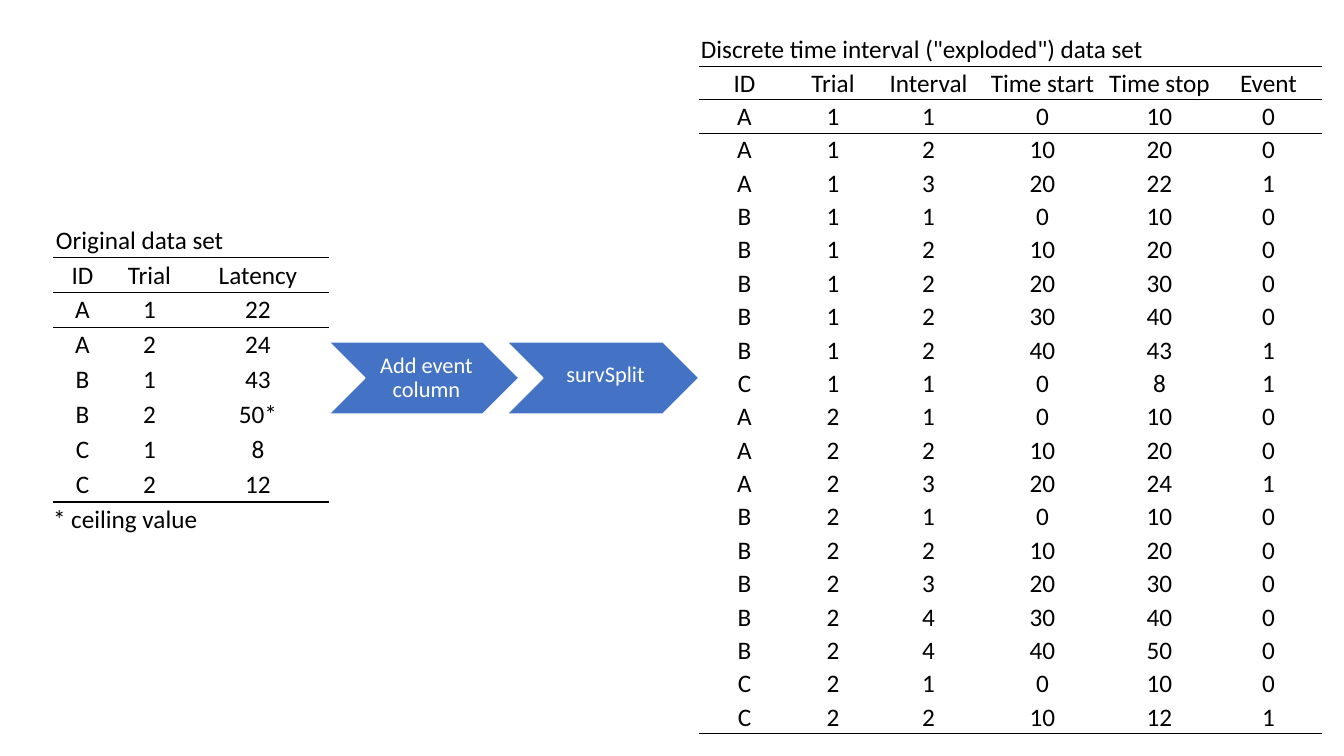
import pptx
import pptx.util
import pptx.dml.color
import pptx.enum.shapes
import pptx.enum.text
import pptx.oxml

COLORS = {"ink": "000000", "chevron": "4472C4", "white": "FFFFFF"}
PX = 914400 / 100.8
FONT = "Calibri"
NO_STYLE = "{2D5ABB26-0587-4C30-8999-92F81FD0307C}"
NS = "http://schemas.openxmlformats.org/drawingml/2006/main"

ALIGN = pptx.enum.text.PP_ALIGN
ANCHOR = pptx.enum.text.MSO_ANCHOR

ORIGINAL_HEADER = ["ID", "Trial", "Latency"]
ORIGINAL_ROWS = """
A 1 22
A 2 24
B 1 43
B 2 50*
C 1 8
C 2 12
"""
EXPLODED_HEADER = ["ID", "Trial", "Interval", "Time start", "Time stop", "Event"]
EXPLODED_ROWS = """
A 1 1 0 10 0
A 1 2 10 20 0
A 1 3 20 22 1
B 1 1 0 10 0
B 1 2 10 20 0
B 1 2 20 30 0
B 1 2 30 40 0
B 1 2 40 43 1
C 1 1 0 8 1
A 2 1 0 10 0
A 2 2 10 20 0
A 2 3 20 24 1
B 2 1 0 10 0
B 2 2 10 20 0
B 2 3 20 30 0
B 2 4 30 40 0
B 2 4 40 50 0
C 2 1 0 10 0
C 2 2 10 12 1
"""


def px(n):
    return pptx.util.Emu(round(n * PX))


def rgb(name):
    return pptx.dml.color.RGBColor.from_string(COLORS[name])


def set_attrs(target, values):
    for name, value in values.items():
        setattr(target, name, value)


def margins(left, top, right, bottom):
    sides = zip(("left", "top", "right", "bottom"), (left, top, right, bottom))
    return {f"margin_{side}": px(n) for side, n in sides}


def write(tf, text, size, color, **paragraph):
    p = tf.paragraphs[0]
    set_attrs(p, paragraph)
    r = p.add_run()
    r.text = text
    set_attrs(r.font, {"name": FONT, "size": pptx.util.Pt(size)})
    r.font.color.rgb = rgb(color)


def add_border(cell, tag):
    xml = (f'<a:{tag} xmlns:a="{NS}" w="12700"><a:solidFill>'
           f'<a:srgbClr val="{COLORS["ink"]}"/></a:solidFill></a:{tag}>')
    cell._tc.get_or_add_tcPr().insert(0, pptx.oxml.parse_xml(xml))


def add_data_table(s, box, widths, pad, title, header, rows, note=None):
    body = [header] + [line.split() for line in rows.split("\n") if line]
    grid = [[title]] + body + ([[note]] if note else [])
    ruled = {0, 1, len(body)}
    gf = s.shapes.add_table(len(grid), len(widths), *map(px, box))
    for style in gf.element.iter(f"{{{NS}}}tableStyleId"):
        style.text = NO_STYLE
    table = gf.table
    set_attrs(table, {"first_row": False, "horz_banding": False})
    for column, width in zip(table.columns, widths):
        column.width = px(width)
    for i, texts in enumerate(grid):
        table.rows[i].height = px(box[3] / len(grid))
        spans = len(texts) == 1
        for j in range(len(widths)):
            cell = table.cell(i, j)
            cell.fill.background()
            side = 0 if texts[0] == note else pad[0]
            set_attrs(cell, margins(side, pad[1], side, pad[1]))
            cell.vertical_anchor = ANCHOR.BOTTOM
            if i in ruled:
                add_border(cell, "lnB")
            if i - 1 in ruled:
                add_border(cell, "lnT")
        if spans:
            table.cell(i, 0).merge(table.cell(i, len(widths) - 1))
        for j, text in enumerate(texts):
            write(table.cell(i, j).text_frame, text, 18, "ink",
                  alignment=ALIGN.LEFT if spans else ALIGN.CENTER)


def add_step(group, left, width, text, spacing):
    sp = group.shapes.add_shape(pptx.enum.shapes.MSO_SHAPE.CHEVRON,
                                px(left), px(342), px(width), px(72))
    sp.shadow.inherit = False
    sp.fill.solid()
    sp.fill.fore_color.rgb = rgb("chevron")
    sp.line.color.rgb = rgb("white")
    sp.line.width = pptx.util.Pt(1)
    tf = sp.text_frame
    set_attrs(tf, {"word_wrap": True, "vertical_anchor": ANCHOR.MIDDLE,
                   **margins(7, 2, 2, 2)})
    write(tf, text, 16, "white", alignment=ALIGN.CENTER, line_spacing=spacing)


def main():
    prs = pptx.Presentation()
    set_attrs(prs, {"slide_width": px(1344), "slide_height": px(756)})
    s = prs.slides.add_slide(prs.slide_layouts[6])
    add_data_table(s, (699, 33, 623, 701), (91, 86, 105, 123, 111, 107), (2, 1),
                   'Discrete time interval ("exploded") data set',
                   EXPLODED_HEADER, EXPLODED_ROWS)
    add_data_table(s, (53, 223, 276, 314), (59, 75, 142), (3, 2),
                   "Original data set", ORIGINAL_HEADER, ORIGINAL_ROWS,
                   "* ceiling value")
    group = s.shapes.add_group_shape()
    add_step(group, 329, 190, "Add event column", 0.9)
    add_step(group, 507, 192, "survSplit", 0.5)
    prs.save("out.pptx")


if __name__ == "__main__":
    main()
